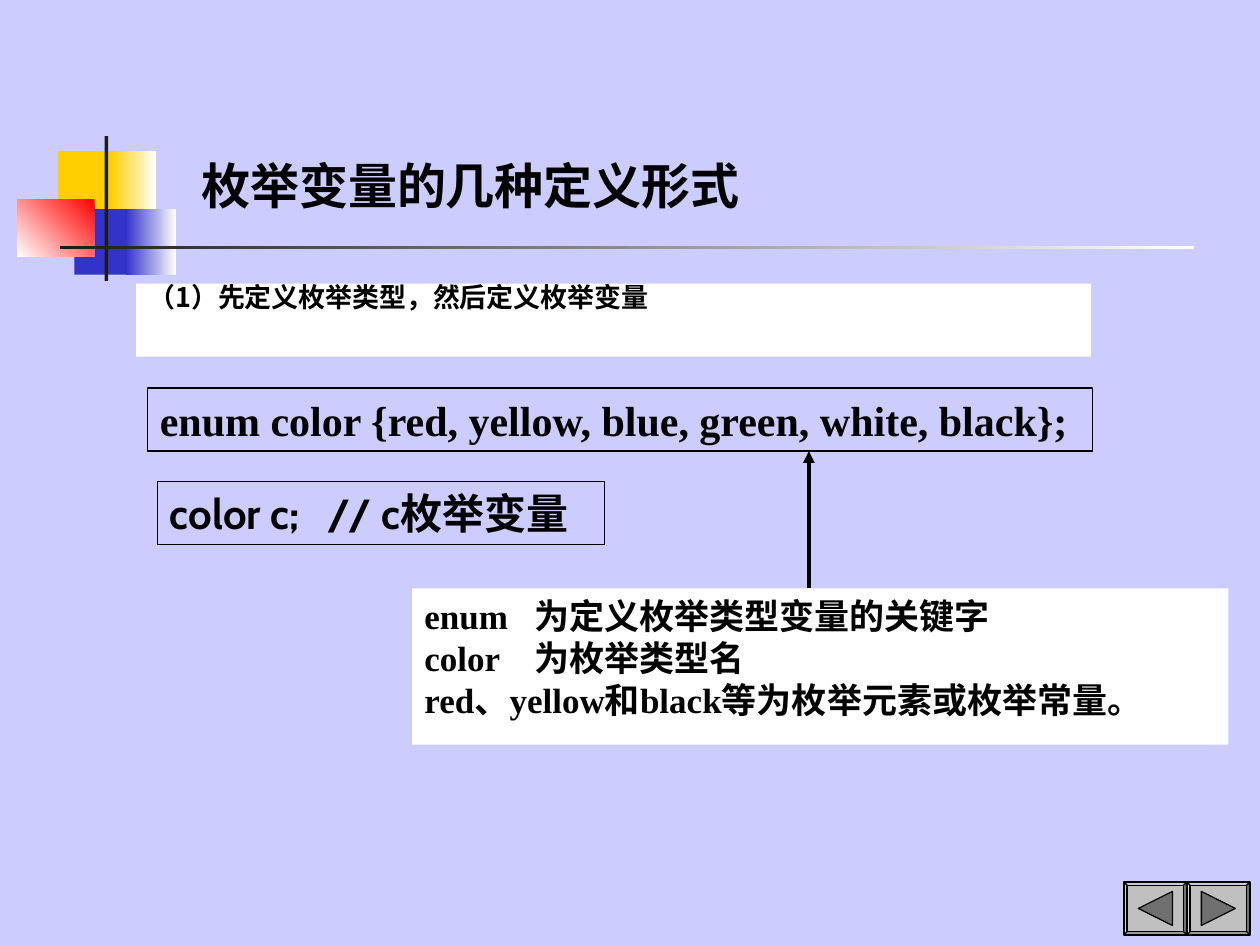
from lxml import etree
from pptx import Presentation
from pptx import util as u
from pptx.dml.color import RGBColor
from pptx.enum import shapes, text
from pptx.oxml.ns import qn

KIND = shapes.MSO_SHAPE
HUES = {"back": "CCCCFF", "gold": "FFCF01", "blue": "3333CC", "red": "FF0000",
        "white": "FFFFFF", "dark": "1C1C1C", "black": "000000",
        "gray": "C0C0C0", "shade": "707070"}
SANS, SERIF, HAN = "Cabin", "Times New Roman", "Noto Sans CJK SC"


class Deck:
    def __init__(self, wide, high):
        self.file = Presentation()
        self.file.slide_width = u.Inches(wide)
        self.file.slide_height = u.Inches(high)
        self.slide = self.file.slides.add_slide(self.file.slide_layouts[6])
        fill = self.slide.background.fill
        fill.solid()
        fill.fore_color.rgb = self.hue("back")

    def hue(self, name):
        return RGBColor.from_string(HUES[name])

    def shape(self, box, fill=None, line=None, kind=KIND.RECTANGLE):
        item = self.slide.shapes.add_shape(kind, *map(u.Inches, box))
        self.paint(item, fill, line)
        return item

    def paint(self, item, fill, line):
        item.shadow.inherit = False
        if fill:
            item.fill.solid()
            item.fill.fore_color.rgb = self.hue(fill)
        else:
            item.fill.background()
        if line:
            item.line.color.rgb = self.hue(line)
            item.line.width = u.Pt(0.75)
        else:
            item.line.fill.background()

    def fade(self, box, start, end, angle=180):
        fill = self.shape(box).fill
        fill.gradient()
        fill.gradient_angle = angle
        for stop, name in zip(fill.gradient_stops, (start, end)):
            stop.color.rgb = self.hue(name)

    def text(self, box, lines, size, fill=None, line=None, anchor="TOP",
             wrap=True, space=None, tab=None):
        frame = self.shape(box, fill, line).text_frame
        frame.word_wrap = wrap
        frame.vertical_anchor = getattr(text.MSO_ANCHOR, anchor)
        for i, runs in enumerate(lines):
            para = frame.add_paragraph() if i else frame.paragraphs[0]
            para.alignment = text.PP_ALIGN.LEFT
            if space:
                para.line_spacing = space
            if tab:
                tabs = etree.SubElement(para._p.get_or_add_pPr(), qn("a:tabLst"))
                etree.SubElement(tabs, qn("a:tab"), pos=str(u.Inches(tab)), algn="l")
            for words, face in runs:
                run = para.add_run()
                run.text = words
                font = run.font
                font.size, font.bold, font.name = u.Pt(size), True, face
                font.color.rgb = self.hue("black")
                etree.SubElement(run._r.get_or_add_rPr(), qn("a:ea"), typeface=face)

    def arrow(self, start, end):
        link = self.slide.shapes.add_connector(
            shapes.MSO_CONNECTOR.STRAIGHT, *map(u.Inches, start + end))
        link.line.color.rgb = self.hue("black")
        link.line.width = u.Pt(2.25)
        etree.SubElement(link.line._get_or_add_ln(), qn("a:tailEnd"), type="triangle")
        etree.SubElement(link._element.spPr, qn("a:effectLst"))

    def button(self, left, top, side):
        bevel = self.shape((left, top, 0.5, 0.42), "gray", "black", KIND.BEVEL)
        bevel.adjustments[0] = 0.06
        mid_x, mid_y, half = left + 0.25, top + 0.21, 0.135
        base, tip = mid_x - side * half, mid_x + side * half
        path = self.slide.shapes.build_freeform(
            u.Inches(base), u.Inches(mid_y - half))
        path.add_line_segments([(u.Inches(tip), u.Inches(mid_y)),
                                (u.Inches(base), u.Inches(mid_y + half))])
        self.paint(path.convert_to_shape(), "shade", "black")


def main():
    deck = Deck(10, 7.5)
    deck.shape((0.46, 1.2, 0.48, 0.52), "gold")
    deck.fade((0.88, 1.2, 0.36, 0.52), "white", "gold")
    deck.shape((0.59, 1.66, 0.46, 0.52), "blue")
    deck.fade((1, 1.66, 0.4, 0.52), "white", "blue")
    deck.fade((0.14, 1.58, 0.61, 0.46), "red", "white", 225)
    deck.shape((0.83, 1.08, 0.03, 1.15), "dark")
    deck.fade((0.48, 1.95, 9, 0.03), "white", "dark")

    deck.text((1.5, 1.25, 4.67, 0.5), [[("枚举变量的几种定义形式", SANS)]],
              28, anchor="BOTTOM")
    deck.text((1.08, 2.25, 7.58, 0.58),
              [[("（1）先定义枚举类型，然后定义枚举变量", HAN)]],
              15.4, fill="white", space=0.7)
    for left, side in ((9.42, 1), (8.92, -1)):
        deck.button(left, 7, side)
    deck.text((1.17, 3.08, 7.5, 0.5),
              [[("enum color {red, yellow, blue, green, white, black};", SERIF)]],
              24, line="black")
    deck.text((3.27, 4.67, 6.48, 1.24), [
        [("enum\t", SERIF), ("为定义枚举类型变量的关键字", HAN)],
        [("color\t", SERIF), ("为枚举类型名", HAN)],
        [("red", SERIF), ("、", HAN), ("yellow", SERIF), ("和", HAN),
         ("black", SERIF), ("等为枚举元素或枚举常量。", HAN)],
    ], 20, fill="white", tab=0.87)
    deck.text((1.25, 3.82, 3.55, 0.5),
              [[("color c;   // c", SANS), ("枚举变量", HAN)]],
              24, line="black", wrap=False)
    deck.arrow((6.42, 4.67), (6.42, 3.58))
    deck.file.save("out.pptx")


if __name__ == "__main__":
    main()
